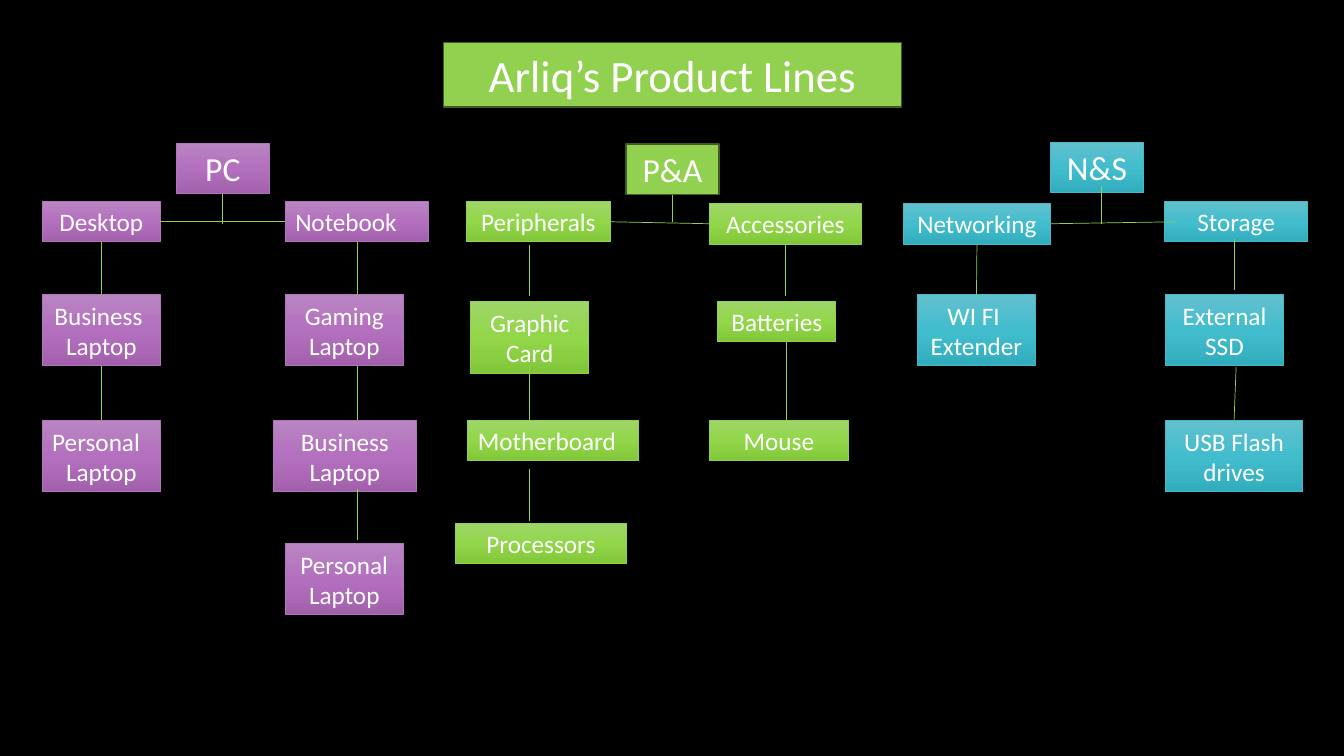
from copy import deepcopy

from pptx import Presentation
from pptx.dml.color import RGBColor
from pptx.enum.shapes import MSO_CONNECTOR, MSO_SHAPE
from pptx.enum.text import MSO_ANCHOR, MSO_AUTO_SIZE, PP_ALIGN
from pptx.oxml.ns import qn
from pptx.oxml.xmlchemy import OxmlElement
from pptx.util import Inches, Pt

BLACK = RGBColor(0x00, 0x00, 0x00)
WHITE = RGBColor(0xFF, 0xFF, 0xFF)
GREEN = RGBColor(0x92, 0xD0, 0x50)
DARK_GREEN = RGBColor(0x40, 0x5B, 0x23)
PURPLE_LINE = RGBColor(0xB0, 0x74, 0xBA)
TEAL_LINE = RGBColor(0x47, 0xB8, 0xC7)
PURPLE_SHADES = [RGBColor(0xB9, 0x85, 0xC2), RGBColor(0xB3, 0x70, 0xBE), RGBColor(0xA2, 0x60, 0xAC)]
GREEN_SHADES = [RGBColor(0x9E, 0xD6, 0x69), RGBColor(0x92, 0xD6, 0x4A), RGBColor(0x82, 0xC6, 0x3A)]
TEAL_SHADES = [RGBColor(0x63, 0xC0, 0xCE), RGBColor(0x41, 0xBD, 0xCD), RGBColor(0x32, 0xAD, 0xBE)]

LEFT, CENTER = PP_ALIGN.LEFT, PP_ALIGN.CENTER
HEAD, ONE, TWO = 0.5, 0.4, 0.71  # heights: family head, one line, two lines
HEAD_WIDTH, NARROW, WIDE = 0.92, 1.17, 1.42
ROW_1, ROW_2, ROW_3 = 2, 2.92, 4.17

# Content
TITLE = "Arliq’s Product Lines"

# Family heads: text, left, top, fill shades, line colour, line width
# Products: text, left, top, width, height, first paragraph alignment
FAMILIES = [
    (("PC", 1.75, 1.42, PURPLE_SHADES, PURPLE_LINE, 0.5), PURPLE_SHADES, PURPLE_LINE, [
        ("Desktop", 0.42, ROW_1, NARROW, ONE, CENTER),
        ("Notebook", 2.83, ROW_1, WIDE, ONE, LEFT),
        ("Business \nLaptop", 0.42, ROW_2, NARROW, TWO, CENTER),
        ("Gaming\nLaptop", 2.83, ROW_2, NARROW, TWO, CENTER),
        ("Personal\nLaptop", 0.42, ROW_3, NARROW, TWO, LEFT),
        ("Business Laptop", 2.71, ROW_3, WIDE, TWO, CENTER),
        ("Personal\nLaptop", 2.83, 5.39, NARROW, TWO, CENTER),
    ]),
    (("P&A", 6.21, 1.43, [GREEN], DARK_GREEN, 1), GREEN_SHADES, GREEN, [
        ("Peripherals", 4.63, ROW_1, WIDE, ONE, CENTER),
        ("Accessories", 7.04, 2.02, 1.5, ONE, CENTER),
        ("Graphic\nCard", 4.67, 2.99, NARROW, TWO, CENTER),
        ("Batteries", 7.12, 2.99, NARROW, ONE, CENTER),
        ("Motherboard", 4.64, ROW_3, 1.69, ONE, LEFT),
        ("Mouse", 7.04, ROW_3, 1.37, ONE, CENTER),
        ("Processors", 4.52, 5.19, 1.69, ONE, CENTER),
    ]),
    (("N&S", 10.42, 1.41, TEAL_SHADES, TEAL_LINE, 0.5), TEAL_SHADES, TEAL_LINE, [
        ("Networking", 8.96, 2.02, 1.46, ONE, CENTER),
        ("Storage", 11.55, ROW_1, WIDE, ONE, CENTER),
        ("WI FI \nExtender", 9.1, ROW_2, NARROW, TWO, CENTER),
        ("External\nSSD", 11.56, ROW_2, NARROW, TWO, CENTER),
        ("USB Flash\ndrives", 11.56, ROW_3, 1.36, TWO, CENTER),
    ]),
]

# Vertical links: x, top, bottom
STEMS = [
    (2.21, 1.92, 2.22), (1, 2.4, 2.92), (3.54, 2.4, 2.92), (1, 3.63, 4.17),
    (3.54, 3.63, 4.17), (3.54, 4.85, 5.36), (6.67, 1.93, 2.2), (5.25, 2.43, 2.94),
    (7.79, 2.43, 2.94), (5.25, 3.63, 4.17), (7.8, 3.36, 4.17), (5.25, 4.65, 5.17),
    (10.92, 1.85, 2.22), (9.69, 2.4, 2.92), (12.24, 2.37, 2.88), (12.26, 3.64, 4.15),
]
# Horizontal links at BRANCH_Y: from, to
BRANCH_Y = 2.2
BRANCHES = [(1.58, 2.83), (6.04, 7.04), (10.42, 11.67)]


def paint(shape, shades, line_color, line_width):
    """One shade gives a solid fill, three a gradient from top to bottom."""
    fill = shape.fill
    if len(shades) == 1:
        fill.solid()
        fill.fore_color.rgb = shades[0]
    else:
        fill.gradient()
        fill.gradient_angle = 270
        stop_list = shape._element.spPr.find(qn("a:gradFill")).find(qn("a:gsLst"))
        stop_list.append(deepcopy(stop_list[-1]))
        for stop, shade, position in zip(fill.gradient_stops, shades, (0, 0.5, 1)):
            stop.color.rgb = shade
            stop.position = position
    shape.line.color.rgb = line_color
    shape.line.width = Pt(line_width)


def write(shape, text, size, first_alignment=CENTER):
    frame = shape.text_frame
    frame.text = text
    frame_format = {"word_wrap": True, "auto_size": MSO_AUTO_SIZE.NONE,
                    "vertical_anchor": MSO_ANCHOR.MIDDLE}
    for name, value in frame_format.items():
        setattr(frame, name, value)
    font_format = {"name": "Calibri", "size": Pt(size), "bold": False}
    for index, paragraph in enumerate(frame.paragraphs):
        paragraph.alignment = CENTER if index else first_alignment
        for run in paragraph.runs:
            for name, value in font_format.items():
                setattr(run.font, name, value)
            run.font.color.rgb = WHITE


def add_box(slide, left, top, width, height):
    box = slide.shapes.add_shape(MSO_SHAPE.RECTANGLE, Inches(left), Inches(top),
                                 Inches(width), Inches(height))
    box.shadow.inherit = False
    return box


def find_side(boxes, x, y):
    """Return the box and side whose middle lies at the point, if any."""
    for box in boxes:
        middle_x, middle_y = box.left + box.width // 2, box.top + box.height // 2
        sides = [(middle_x, box.top), (box.left, middle_y),
                 (middle_x, box.top + box.height), (box.left + box.width, middle_y)]
        for side, (side_x, side_y) in enumerate(sides):
            if max(abs(side_x - x), abs(side_y - y)) <= Inches(0.02):
                return box, side
    return None


def add_link(slide, boxes, x1, y1, x2, y2):
    start, end = (Inches(x1), Inches(y1)), (Inches(x2), Inches(y2))
    link = slide.shapes.add_connector(MSO_CONNECTOR.STRAIGHT, *start, *end)
    link.line.color.rgb = GREEN
    link.line.width = Pt(0.5)
    link._element.spPr.append(OxmlElement("a:effectLst"))
    for point, connect in ((start, link.begin_connect), (end, link.end_connect)):
        joint = find_side(boxes, *point)
        if joint:
            connect(*joint)


def main():
    presentation = Presentation()
    presentation.slide_width, presentation.slide_height = Inches(13.33), Inches(7.5)
    slide = presentation.slides.add_slide(presentation.slide_layouts[5])
    slide.background.fill.solid()
    slide.background.fill.fore_color.rgb = BLACK

    # Title
    title = slide.shapes.title
    title_place = {"left": 4.4, "top": 0.42, "width": 4.54, "height": 0.64}
    for name, value in title_place.items():
        setattr(title, name, Inches(value))
    paint(title, [GREEN], DARK_GREEN, 1)
    write(title, TITLE, 32)

    # Family heads and their products
    boxes = []
    for head, shades, line_color, products in FAMILIES:
        text, left, top, *head_style = head
        box = add_box(slide, left, top, HEAD_WIDTH, HEAD)
        paint(box, *head_style)
        write(box, text, 24)
        boxes.append(box)
        for text, left, top, width, height, alignment in products:
            box = add_box(slide, left, top, width, height)
            paint(box, shades, line_color, 0.5)
            write(box, text, 18, alignment)
            boxes.append(box)

    # Links
    for x, top, bottom in STEMS:
        add_link(slide, boxes, x, top, x, bottom)
    for left, right in BRANCHES:
        add_link(slide, boxes, left, BRANCH_Y, right, BRANCH_Y)

    presentation.save("out.pptx")


if __name__ == "__main__":
    main()
